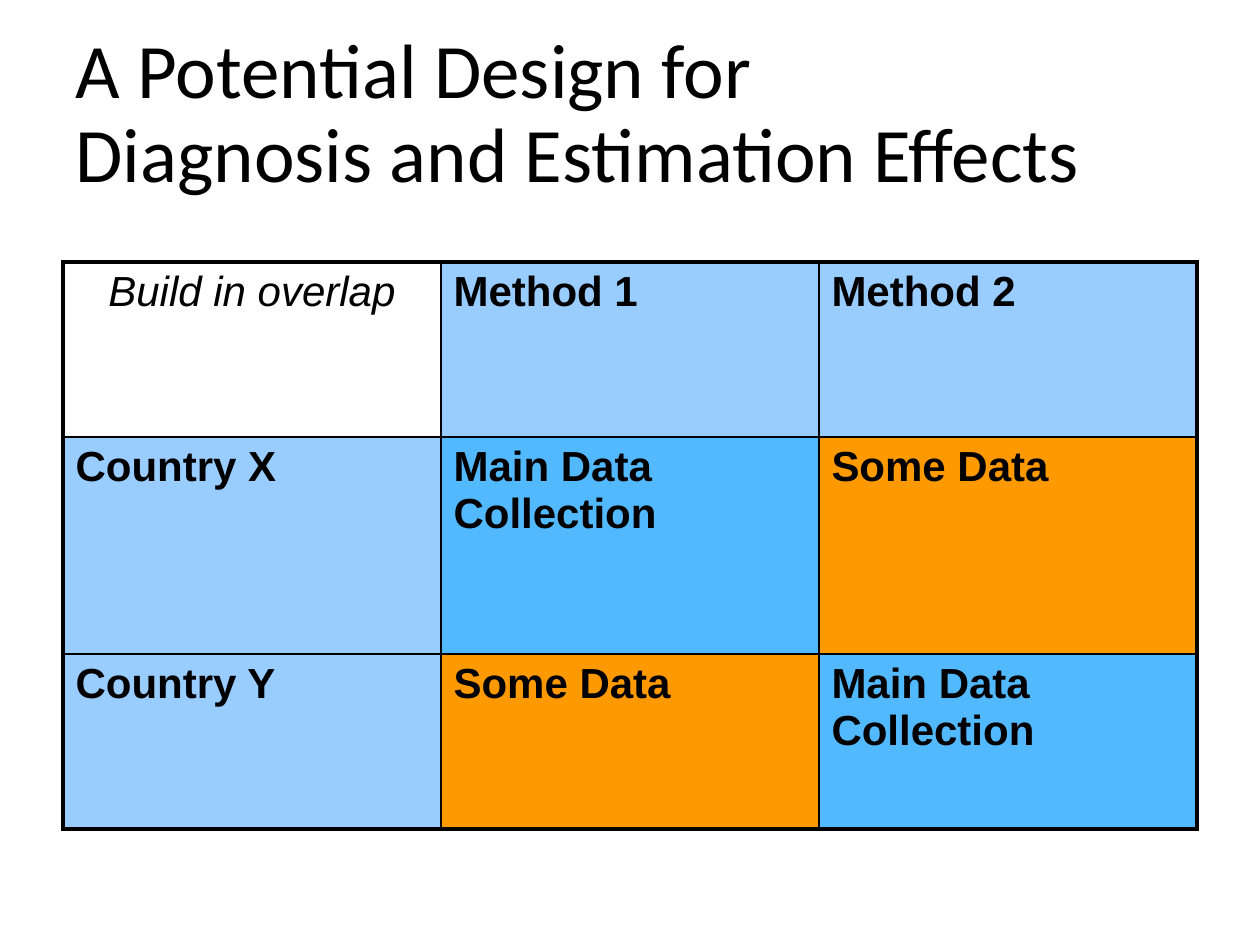
from lxml import etree
from pptx import Presentation
from pptx import util as u
from pptx.dml.color import RGBColor
from pptx.enum import text
from pptx.oxml.ns import qn

PX = 914400 // 126  # EMU per px
BLACK = RGBColor(0x00, 0x00, 0x00)
PALE_BLUE = RGBColor(0x99, 0xCC, 0xFF)
BLUE = RGBColor(0x53, 0xB9, 0xFF)
ORANGE = RGBColor(0xFF, 0x99, 0x00)

# Content: each cell is its text and fill
TITLE = "A Potential Design for\vDiagnosis and Estimation Effects"
MAIN = ("Main Data Collection", BLUE)
SOME = ("Some Data", ORANGE)
ROWS = [
    [("Build in overlap", None), ("Method 1", PALE_BLUE), ("Method 2", PALE_BLUE)],
    [("Country X", PALE_BLUE), MAIN, SOME],
    [("Country Y", PALE_BLUE), SOME, MAIN],
]

# Layout in px
TITLE_BOX = (63, 21, 1166, 189)
TABLE_LEFT, TABLE_TOP = 63, 262
COL_WIDTHS = [378, 378, 378]
ROW_HEIGHTS = [175, 217, 175]
OUTER_PT, INNER_PT = 2.25, 1


def px(n):
    return u.Emu(n * PX)


def write(tf, words, font="Arial", size=24, bold=False, italic=False,
          align=text.PP_ALIGN.LEFT, spacing=None):
    tf.text = words
    p = tf.paragraphs[0]
    p.alignment = align
    p.line_spacing = spacing
    for r in p.runs:
        r.font.name, r.font.size = font, u.Pt(size)
        r.font.bold, r.font.italic = bold, italic
        r.font.color.rgb = BLACK


def set_borders(cell, widths):
    """Draw black cell borders; widths are points for L, R, T, B."""
    tc_pr = cell._tc.get_or_add_tcPr()
    for i, (side, width) in enumerate(zip("LRTB", widths)):
        ln = etree.Element(qn(f"a:ln{side}"), w=str(int(u.Pt(width))))
        fill = etree.SubElement(ln, qn("a:solidFill"))
        etree.SubElement(fill, qn("a:srgbClr"), val=str(BLACK))
        tc_pr.insert(i, ln)


prs = Presentation()
prs.slide_width, prs.slide_height = u.Inches(10), u.Inches(7.5)
s = prs.slides.add_slide(prs.slide_layouts[5])

# Title
title = s.shapes.title
title.left, title.top, title.width, title.height = map(px, TITLE_BOX)
title.text_frame.vertical_anchor = text.MSO_ANCHOR.MIDDLE
title.text_frame.auto_size = text.MSO_AUTO_SIZE.NONE
write(title.text_frame, TITLE, font="Calibri", size=44, spacing=0.9)

# Table
table = s.shapes.add_table(
    len(ROWS), len(COL_WIDTHS), px(TABLE_LEFT), px(TABLE_TOP),
    px(sum(COL_WIDTHS)), px(sum(ROW_HEIGHTS))).table
table.first_row = table.horz_banding = False
for col, width in zip(table.columns, COL_WIDTHS):
    col.width = px(width)
for row, height in zip(table.rows, ROW_HEIGHTS):
    row.height = px(height)

# Cells: thick lines outside, thin lines inside
last_row, last_col = len(ROWS) - 1, len(COL_WIDTHS) - 1
for i, row in enumerate(ROWS):
    for j, (words, color) in enumerate(row):
        cell = table.cell(i, j)
        if color is None:
            cell.fill.background()
            write(cell.text_frame, words, italic=True, align=text.PP_ALIGN.CENTER)
        else:
            cell.fill.solid()
            cell.fill.fore_color.rgb = color
            write(cell.text_frame, words, bold=True)
        edges = (j == 0, j == last_col, i == 0, i == last_row)
        set_borders(cell, [OUTER_PT if edge else INNER_PT for edge in edges])

prs.save("out.pptx")
